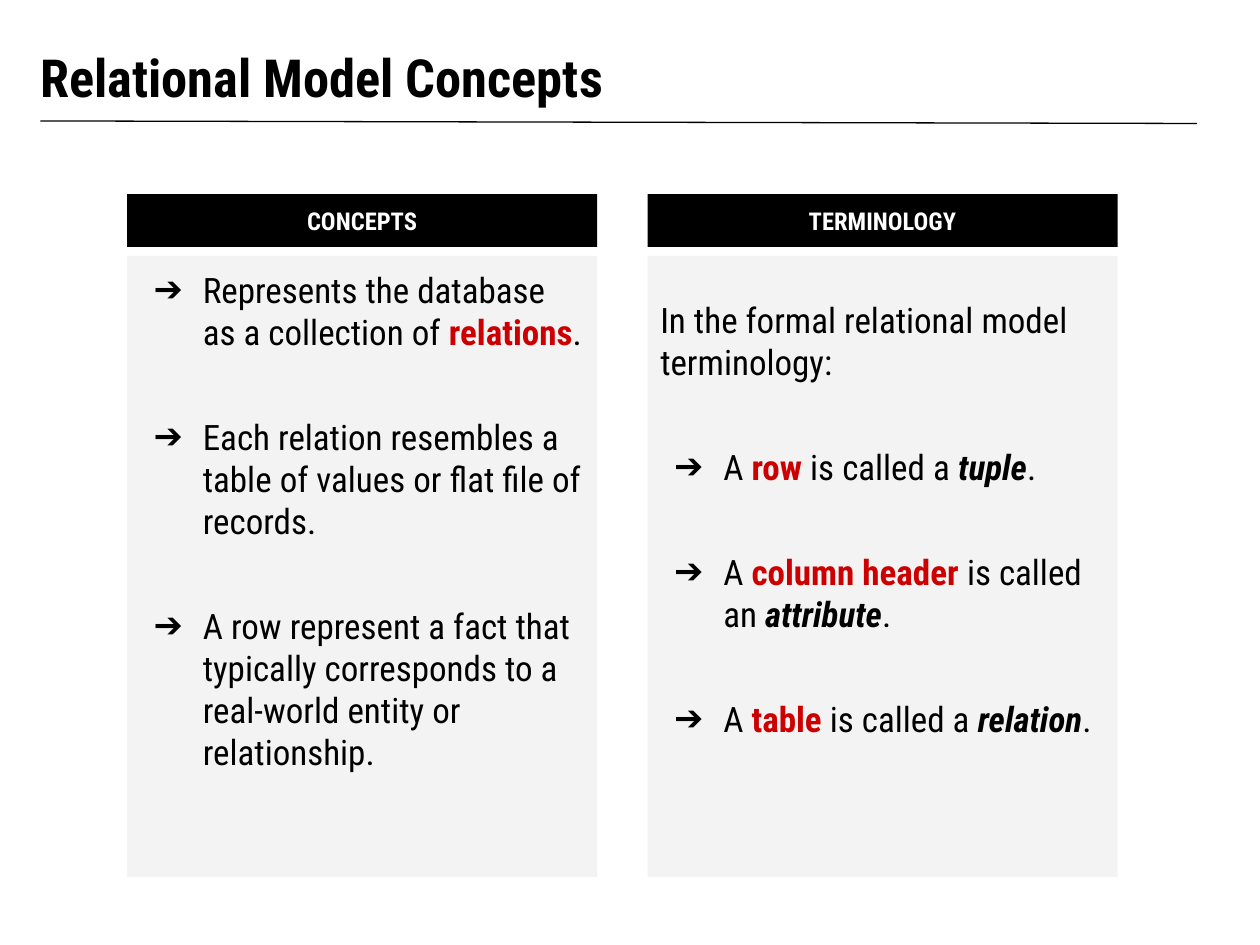
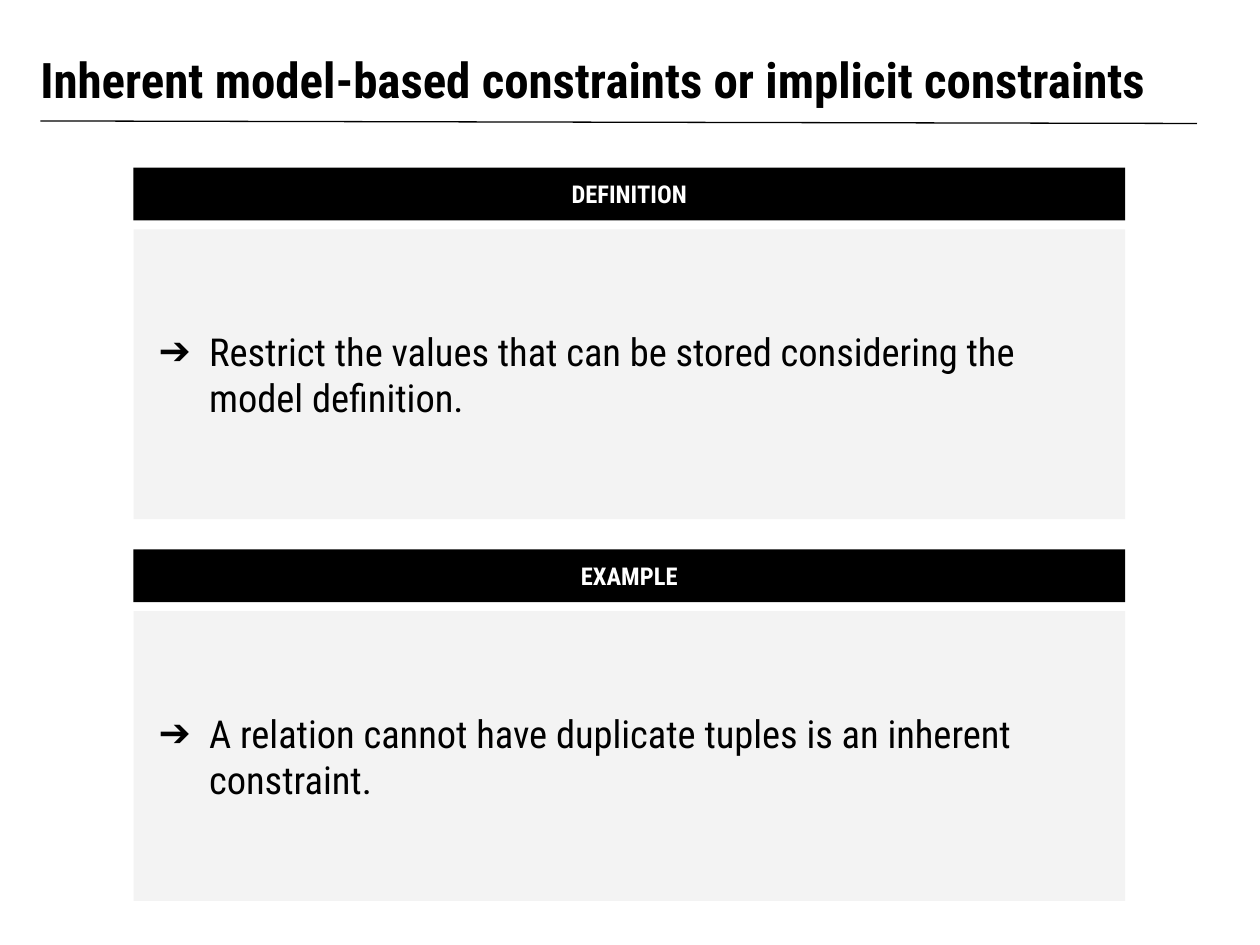
from dataclasses import dataclass

from lxml import etree
from pptx import Presentation
from pptx.dml.color import RGBColor
from pptx.enum.shapes import MSO_CONNECTOR, MSO_SHAPE
from pptx.enum.text import MSO_ANCHOR, MSO_AUTO_SIZE, PP_ALIGN
from pptx.oxml.ns import qn
from pptx.util import Inches, Pt

# Shared style
FONT = "Roboto Condensed"
BLACK, WHITE, GREY, RED = "000000", "FFFFFF", "F3F3F3", "CC0000"
TOP, MIDDLE, BOTTOM = MSO_ANCHOR.TOP, MSO_ANCHOR.MIDDLE, MSO_ANCHOR.BOTTOM
LEFT, CENTER = PP_ALIGN.LEFT, PP_ALIGN.CENTER
NO_AUTOFIT = MSO_AUTO_SIZE.NONE
RECTANGLE = MSO_SHAPE.RECTANGLE
STRAIGHT = MSO_CONNECTOR.STRAIGHT
TWO_CONTENT_LAYOUT = 3
INSET = 0.1
HEADER_HEIGHT = 0.42
BODY_OFFSET = 0.49
PARAGRAPH_GAP = 36


@dataclass(frozen=True)
class Span:
    text: str
    color: str = BLACK
    bold: bool = False
    italic: bool = False


@dataclass(frozen=True)
class Item:
    spans: tuple[Span, ...]
    bullet: bool = True


@dataclass(frozen=True)
class Panel:
    header: str
    left: float
    top: float
    width: float
    body_height: float
    items: tuple[Item, ...]
    size: int
    anchor: MSO_ANCHOR = MIDDLE
    hanging: float = 0.4
    bottom_inset: float = INSET


@dataclass(frozen=True)
class PanelSlide:
    title: str
    title_size: int
    panels: tuple[Panel, ...]


def rgb(value: str) -> RGBColor:
    return RGBColor.from_string(value)


def item(*spans: str | Span, bullet: bool = True) -> Item:
    return Item(tuple(Span(s) if isinstance(s, str) else s for s in spans), bullet)


def key(text: str) -> Span:
    return Span(text, RED, bold=True)


def term(text: str) -> Span:
    return Span(text, bold=True, italic=True)


def place(shape, left: float, top: float, width: float, height: float) -> None:
    shape.left, shape.top = Inches(left), Inches(top)
    shape.width, shape.height = Inches(width), Inches(height)


def fill_shape(shape, color: str) -> None:
    shape.fill.solid()
    shape.fill.fore_color.rgb = rgb(color)
    shape.line.fill.background()


def set_frame(shape, anchor: MSO_ANCHOR, bottom_inset: float = INSET) -> None:
    frame = shape.text_frame
    frame.word_wrap = True
    frame.auto_size = NO_AUTOFIT
    frame.vertical_anchor = anchor
    frame.margin_left = frame.margin_right = frame.margin_top = Inches(INSET)
    frame.margin_bottom = Inches(bottom_inset)


def add_span(paragraph, span: Span, size: int) -> None:
    run = paragraph.add_run()
    run.text = span.text
    run.font.name = FONT
    run.font.size = Pt(size)
    run.font.bold = span.bold
    run.font.italic = span.italic
    run.font.color.rgb = rgb(span.color)


def set_bullet(paragraph, bullet: bool, hanging: float) -> None:
    properties = paragraph._p.get_or_add_pPr()
    properties.set("marL", str(Inches(0.5) if bullet else 0))
    properties.set("indent", str(-Inches(hanging) if bullet else 0))
    if not bullet:
        etree.SubElement(properties, qn("a:buNone"))
        return
    color = etree.SubElement(properties, qn("a:buClr"))
    etree.SubElement(color, qn("a:srgbClr"), val=BLACK)
    etree.SubElement(properties, qn("a:buFont"), typeface=FONT)
    etree.SubElement(properties, qn("a:buChar"), char="➔")


def draw_title(slide, text: str, size: int) -> None:
    title = slide.shapes.title
    place(title, 0.22, 0.22, 9, 0.74)
    set_frame(title, BOTTOM)
    paragraph = title.text_frame.paragraphs[0]
    paragraph.alignment = LEFT
    add_span(paragraph, Span(text, bold=True), size)


def draw_title_rule(slide) -> None:
    rule = slide.shapes.add_connector(
        STRAIGHT, Inches(0.32), Inches(0.96), Inches(9.5), Inches(0.98))
    rule.line.color.rgb = rgb(BLACK)
    rule.line.width = Pt(0.75)
    etree.SubElement(rule._element.spPr, qn("a:effectLst"))


def draw_panel(slide, body, panel: Panel) -> None:
    # List body
    place(body, panel.left, panel.top + BODY_OFFSET, panel.width, panel.body_height)
    fill_shape(body, GREY)
    set_frame(body, panel.anchor, panel.bottom_inset)
    frame = body.text_frame
    for index, entry in enumerate(panel.items):
        paragraph = frame.add_paragraph() if index else frame.paragraphs[0]
        set_bullet(paragraph, entry.bullet, panel.hanging)
        paragraph.alignment = LEFT
        paragraph.space_before = Pt(PARAGRAPH_GAP if index else 0)
        for span in entry.spans:
            add_span(paragraph, span, panel.size)

    # Header band
    header = slide.shapes.add_shape(
        RECTANGLE, Inches(panel.left), Inches(panel.top),
        Inches(panel.width), Inches(HEADER_HEIGHT))
    header.shadow.inherit = False
    fill_shape(header, BLACK)
    set_frame(header, MIDDLE)
    paragraph = header.text_frame.paragraphs[0]
    paragraph.alignment = CENTER
    add_span(paragraph, Span(panel.header, WHITE, bold=True), 14)


def draw_slide(presentation, content: PanelSlide) -> None:
    slide = presentation.slides.add_slide(presentation.slide_layouts[TWO_CONTENT_LAYOUT])
    draw_title_rule(slide)
    draw_title(slide, content.title, content.title_size)
    bodies = [shape for shape in slide.placeholders if shape.placeholder_format.idx]
    for body, panel in zip(bodies, content.panels):
        draw_panel(slide, body, panel)


def column(header: str, index: int, items: tuple[Item, ...],
           anchor: MSO_ANCHOR, bottom_inset: float = INSET) -> Panel:
    return Panel(header, 1.01 + 4.13 * index, 1.54, 3.73, 4.93, items, 20,
                 anchor, 0.39, bottom_inset)


def row(header: str, index: int, text: str) -> Panel:
    return Panel(header, 1.06, 1.33 + 3.03 * index, 7.87, 2.3, (item(text),), 22)


# Slide content
CONCEPTS = (
    item("Represents the database as a collection of ", key("relations"), "."),
    item("Each relation resembles a table of values or flat file of records."),
    item("A row represent a fact that typically corresponds to a "
         "real-world entity or relationship."),
)
TERMINOLOGY = (
    item("In the formal relational model terminology:", bullet=False),
    item("A ", key("row"), " is called a ", term("tuple"), "."),
    item("A ", key("column header"), " is called an ", term("attribute"), "."),
    item("A ", key("table"), " is called a ", term("relation"), "."),
)
SLIDES = (
    PanelSlide("Relational Model Concepts", 30, (
        column("CONCEPTS", 0, CONCEPTS, TOP),
        column("TERMINOLOGY", 1, TERMINOLOGY, MIDDLE, bottom_inset=0.85),
    )),
    PanelSlide("Inherent model-based constraints or implicit constraints", 28, (
        row("DEFINITION", 0, "Restrict the values that can be stored considering "
            "the model definition."),
        row("EXAMPLE", 1, "A relation cannot have duplicate tuples is an "
            "inherent constraint."),
    )),
)


def main() -> None:
    presentation = Presentation()
    presentation.slide_width, presentation.slide_height = Inches(10), Inches(7.5)
    for content in SLIDES:
        draw_slide(presentation, content)
    presentation.save("out.pptx")


if __name__ == "__main__":
    main()
